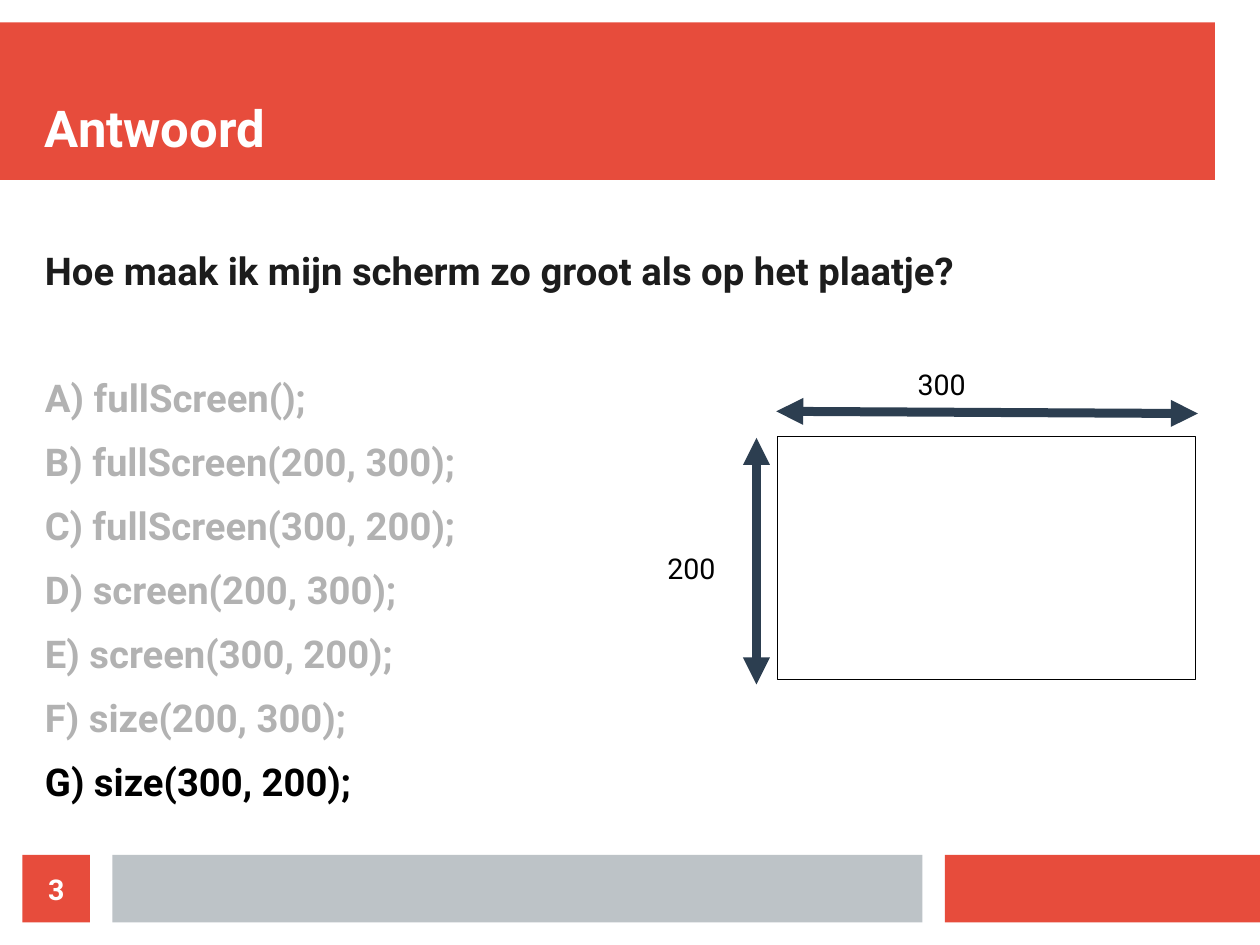
from lxml import etree
from pptx import Presentation
from pptx.dml.color import RGBColor
from pptx.enum.shapes import MSO_CONNECTOR, MSO_SHAPE
from pptx.enum.text import MSO_ANCHOR, MSO_AUTO_SIZE, PP_ALIGN
from pptx.oxml.ns import qn
from pptx.util import Cm, Pt

RECT = MSO_SHAPE.RECTANGLE
STRAIGHT = MSO_CONNECTOR.STRAIGHT
TOP, MIDDLE, BOTTOM = MSO_ANCHOR.TOP, MSO_ANCHOR.MIDDLE, MSO_ANCHOR.BOTTOM
LEFT, CENTER = PP_ALIGN.LEFT, PP_ALIGN.CENTER
NO_AUTOFIT = MSO_AUTO_SIZE.NONE

COLUMNS, ROWS = 28, 21
TITLE_ONLY = 5
RED, GREY, NAVY = "E74C3C", "BDC3C7", "2C3E50"
WHITE, BLACK, INK, FADED = "FFFFFF", "000000", "1C1C1C", "B2B2B2"

QUESTION = "Hoe maak ik mijn scherm zo groot als op het plaatje?"
ANSWERS = ["fullScreen();", "fullScreen(200, 300);", "fullScreen(300, 200);",
           "screen(200, 300);", "screen(300, 200);", "size(200, 300);",
           "size(300, 200);"]
CORRECT = "G"


def rgb(value):
    return RGBColor.from_string(value)


def apply(target, values):
    for name, value in values.items():
        setattr(target, name, value)


class QuizSlide:
    font = "Roboto"

    def __init__(self, prs):
        prs.slide_width, prs.slide_height = Cm(COLUMNS), Cm(ROWS)
        self.slide = prs.slides.add_slide(prs.slide_layouts[TITLE_ONLY])
        self.shapes = self.slide.shapes

    def frame(self, sp, anchor=TOP, inset=(0, 0), wrap=True):
        across, down = map(Cm, inset)
        tf = sp.text_frame
        apply(tf, dict(margin_left=across, margin_right=across,
                       margin_top=down, margin_bottom=down, word_wrap=wrap,
                       vertical_anchor=anchor, auto_size=NO_AUTOFIT))
        return tf

    def fill_line(self, p, text, size, color, bold=True, align=LEFT, after=0):
        apply(p, dict(alignment=align, space_before=Pt(0), space_after=Pt(after)))
        r = p.add_run()
        r.text = text
        apply(r.font, dict(name=self.font, size=Pt(size), bold=bold))
        r.font.color.rgb = rgb(color)

    def title(self, box, text):
        sp = self.shapes.title
        apply(sp, dict(zip(("left", "top", "width", "height"), map(Cm, box))))
        sp.element.getparent().append(sp.element)
        self.fill_line(self.frame(sp, BOTTOM).paragraphs[0], text, 32, WHITE)

    def rect(self, box, fill, line=None):
        sp = self.shapes.add_shape(RECT, *map(Cm, box))
        sp.shadow.inherit = False
        sp.fill.solid()
        sp.fill.fore_color.rgb = rgb(fill)
        if line:
            sp.line.color.rgb = rgb(line)
            sp.line.width = Pt(0)
        else:
            sp.line.fill.background()
        return sp

    def badge(self, box, text):
        tf = self.frame(self.rect(box, RED), MIDDLE)
        self.fill_line(tf.paragraphs[0], text, 18, WHITE, align=CENTER)

    def paragraphs(self, box, items):
        tf = self.frame(self.shapes.add_textbox(*map(Cm, box)))
        for i, (text, color, after) in enumerate(items):
            p = tf.add_paragraph() if i else tf.paragraphs[0]
            self.fill_line(p, text, 24.1, color, after=after)

    def label(self, box, text):
        sp = self.shapes.add_textbox(*map(Cm, box))
        tf = self.frame(sp, inset=(0.25, 0.13), wrap=False)
        self.fill_line(tf.paragraphs[0], text, 18, BLACK, bold=False)

    def double_arrow(self, ends):
        line = self.shapes.add_connector(STRAIGHT, *map(Cm, ends))
        line.line.color.rgb = rgb(NAVY)
        line.line.width = Pt(5.67)
        sp_pr = line.element.spPr
        for end in ("a:headEnd", "a:tailEnd"):
            etree.SubElement(sp_pr.find(qn("a:ln")), qn(end), type="triangle")
        etree.SubElement(sp_pr, qn("a:effectLst"))


def main():
    prs = Presentation()
    quiz = QuizSlide(prs)

    quiz.rect((0, 0.5, 27, 3.5), RED)
    quiz.rect((21, 19, 7, 1.5), RED)
    quiz.rect((2.5, 19, 18, 1.5), GREY)
    quiz.title((1, 1, 26, 2.5), "Antwoord")

    items = [(QUESTION, INK, 51)]
    for letter, code in zip("ABCDEFG", ANSWERS):
        color = BLACK if letter == CORRECT else FADED
        items.append((f"{letter}) {code}", color, 11.4))
    quiz.paragraphs((1, 5.5, 25.5, 13), items)

    quiz.rect((17.27, 9.7, 9.3, 5.41), WHITE, BLACK)
    quiz.double_arrow((17.25, 9.14, 26.62, 9.19))
    quiz.double_arrow((16.81, 9.73, 16.81, 15.21))
    quiz.label((20.14, 8.03, 1.7, 1.12), "300")
    quiz.label((14.58, 12.12, 1.7, 1.12), "200")
    quiz.badge((0.5, 19, 1.5, 1.5), "3")

    prs.save("out.pptx")


if __name__ == "__main__":
    main()
